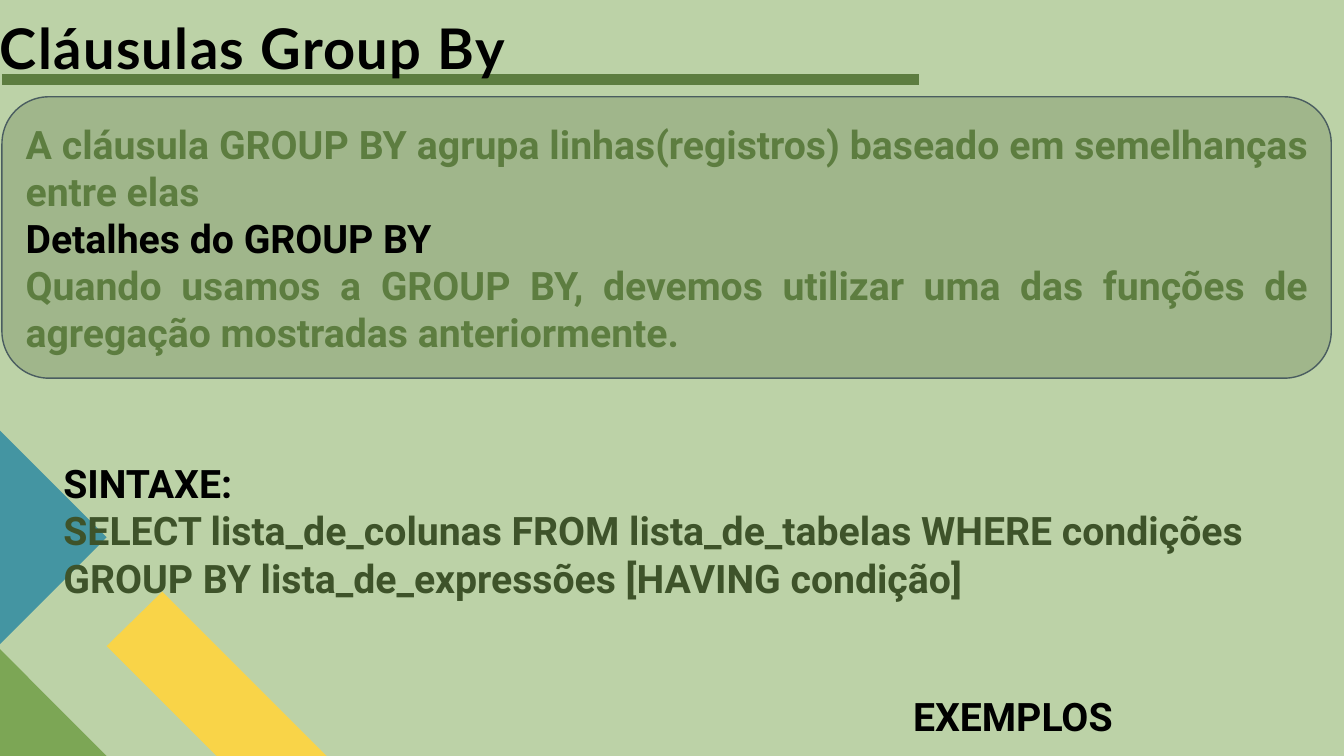
from lxml import etree
from pptx import Presentation, util as u
from pptx.dml import color
from pptx.enum import shapes, text
from pptx.oxml import ns

Cm, RGB = u.Cm, color.RGBColor
BLACK = RGB(0x00, 0x00, 0x00)
MINT = RGB(0xBC, 0xD2, 0xA7)
MOSS = RGB(0x5D, 0x7D, 0x40)
PINE = RGB(0x3E, 0x53, 0x2A)
SLATE = RGB(0x4A, 0x5D, 0x60)
YELLOW = RGB(0xF9, 0xD4, 0x48)
GREEN = RGB(0x7C, 0xA6, 0x55)
TEAL = RGB(0x44, 0x95, 0xA2)


def write(frame, *lines, font="Roboto", size=28, align=None, space=None, track=None):
    frame.word_wrap = True
    for i, (words, tint) in enumerate(lines):
        para = frame.add_paragraph() if i else frame.paragraphs[0]
        para.alignment = align
        para.line_spacing = space
        run = para.add_run()
        run.text = words
        run.font.name = font
        run.font.size = u.Pt(size)
        run.font.bold = True
        run.font.color.rgb = tint
        if track:
            run.font._element.set("spc", str(track))


def add_box(slide, x, y, w, h):
    box = slide.shapes.add_textbox(Cm(x), Cm(y), Cm(w), Cm(h))
    return box.text_frame


def add_patch(slide, tint, *spots):
    first, *rest = [(Cm(x), Cm(y)) for x, y in spots]
    pen = slide.shapes.build_freeform(*first)
    pen.add_line_segments(rest)
    patch = pen.convert_to_shape()
    patch.shadow.inherit = False
    patch.fill.solid()
    patch.fill.fore_color.rgb = tint
    patch.line.fill.background()


def add_rule(slide, x, y, end):
    rule = slide.shapes.add_connector(
        shapes.MSO_CONNECTOR.STRAIGHT, Cm(x), Cm(y), Cm(end), Cm(y))
    rule.line.color.rgb = MOSS
    rule.line.width = u.Pt(8)
    etree.SubElement(rule._element.spPr, ns.qn("a:effectLst"))


def add_panel(slide, x, y, w, h, alpha):
    panel = slide.shapes.add_shape(
        shapes.MSO_SHAPE.ROUNDED_RECTANGLE, Cm(x), Cm(y), Cm(w), Cm(h))
    panel.shadow.inherit = False
    panel.fill.solid()
    panel.fill.fore_color.rgb = PINE
    tint = panel._element.spPr.find(".//" + ns.qn("a:srgbClr"))
    etree.SubElement(tint, ns.qn("a:alpha"), val=str(alpha * 1000))
    panel.line.color.rgb = SLATE
    panel.line.width = u.Pt(1)
    panel.text_frame.vertical_anchor = text.MSO_ANCHOR.MIDDLE
    return panel.text_frame


def add_title(slide, words):
    frame = add_box(slide, 0, 0.38, 24.51, 1.65)
    frame.margin_left = frame.margin_right = 0
    frame.margin_top = frame.margin_bottom = 0
    frame.vertical_anchor = text.MSO_ANCHOR.BOTTOM
    write(frame, (words, BLACK), font="Lato", size=40, space=0.8, track=100)


def main():
    deck = Presentation()
    deck.slide_width, deck.slide_height = Cm(33.87), Cm(19.05)
    slide = deck.slides.add_slide(deck.slide_layouts[6])
    slide.background.fill.solid()
    slide.background.fill.fore_color.rgb = MINT

    add_patch(slide, YELLOW, (8.23, 19.05), (5.46, 19.05), (2.69, 16.28), (4.09, 14.91))
    add_patch(slide, GREEN, (2.69, 19.05), (0, 19.05), (0, 16.36))
    add_patch(slide, TEAL, (0, 10.85), (2.69, 13.54), (0, 16.23))

    add_rule(slide, 0.05, 2, 23.15)
    add_title(slide, "Cláusulas Group By")
    write(
        add_panel(slide, 0.05, 2.44, 33.5, 7.09, 22),
        ("A cláusula GROUP BY agrupa linhas(registros) baseado em "
         "semelhanças entre elas", MOSS),
        ("Detalhes do GROUP BY", BLACK),
        ("Quando usamos a GROUP BY, devemos utilizar uma das funções de "
         "agregação mostradas anteriormente.", MOSS),
        align=text.PP_ALIGN.JUSTIFY)
    write(add_box(slide, 22.76, 17.32, 6.38, 1.45), ("EXEMPLOS", BLACK))
    write(
        add_box(slide, 1.35, 11.46, 33.27, 3.84),
        ("SINTAXE:", BLACK),
        ("SELECT lista_de_colunas FROM lista_de_tabelas WHERE condições "
         "GROUP BY lista_de_expressões [HAVING condição]", PINE))
    deck.save("out.pptx")


if __name__ == "__main__":
    main()
